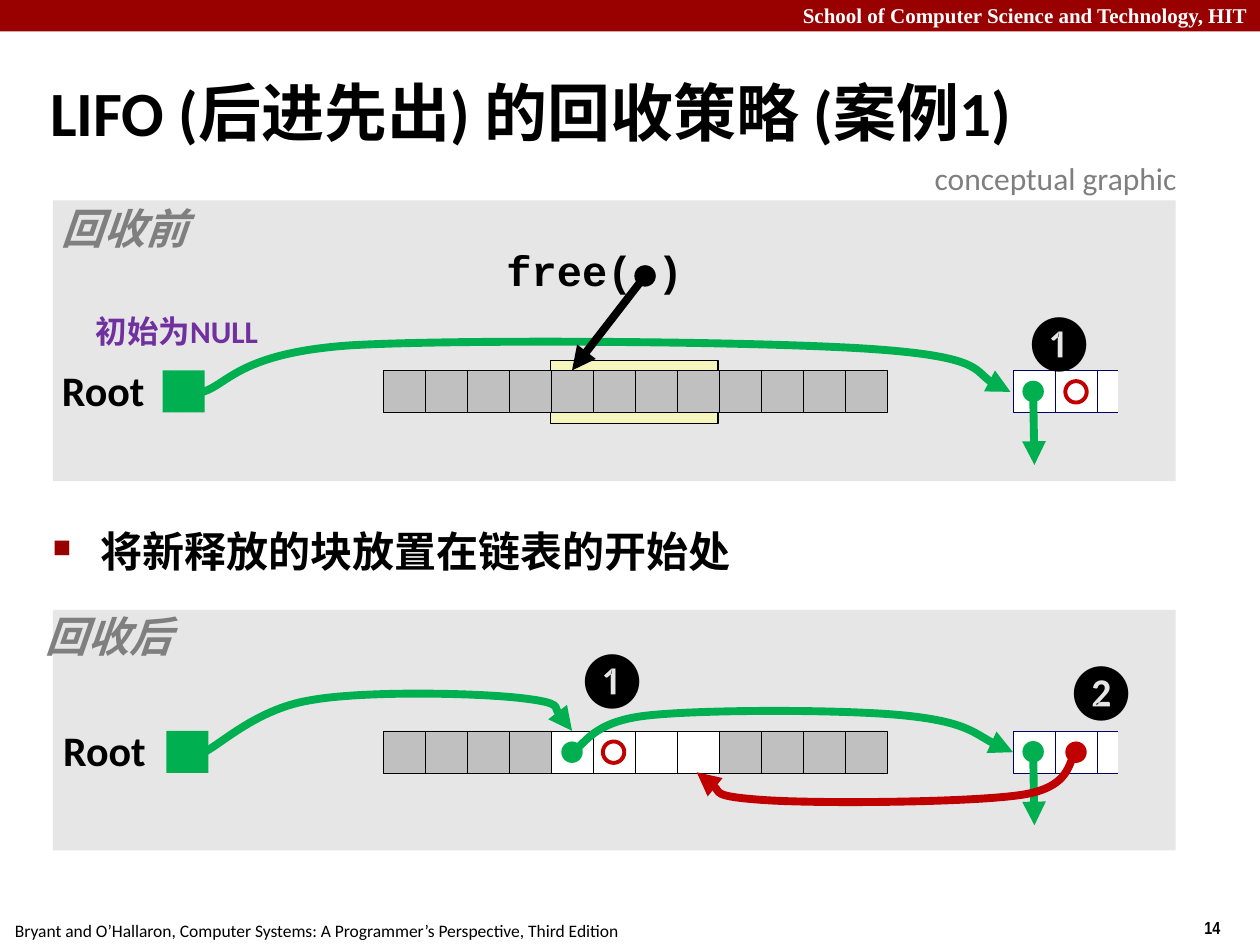
from lxml import etree
from pptx import Presentation
from pptx.dml.color import RGBColor
from pptx.enum.shapes import MSO_CONNECTOR, MSO_SHAPE
from pptx.enum.text import MSO_ANCHOR, MSO_AUTO_SIZE, PP_ALIGN
from pptx.oxml.ns import qn
from pptx.util import Inches, Pt

RECTANGLE, OVAL = MSO_SHAPE.RECTANGLE, MSO_SHAPE.OVAL
STRAIGHT = MSO_CONNECTOR.STRAIGHT
LEFT, CENTER, RIGHT = PP_ALIGN.LEFT, PP_ALIGN.CENTER, PP_ALIGN.RIGHT
MIDDLE, TOP = MSO_ANCHOR.MIDDLE, MSO_ANCHOR.TOP
FIT_SHAPE, FIT_NONE = MSO_AUTO_SIZE.SHAPE_TO_FIT_TEXT, MSO_AUTO_SIZE.NONE

BLACK = RGBColor(0x00, 0x00, 0x00)
WHITE = RGBColor(0xFF, 0xFF, 0xFF)
CRIMSON = RGBColor(0x99, 0x00, 0x00)
RED = RGBColor(0xC0, 0x00, 0x00)
GREEN = RGBColor(0x00, 0xB0, 0x50)
NAVY = RGBColor(0x00, 0x00, 0x66)
PURPLE = RGBColor(0x70, 0x30, 0xA0)
YELLOW = RGBColor(0xF6, 0xF5, 0xBD)
PANEL_GRAY = RGBColor(0xE6, 0xE6, 0xE6)
CELL_GRAY = RGBColor(0xC0, 0xC0, 0xC0)
TEXT_GRAY = RGBColor(0x7F, 0x7F, 0x7F)

CELL = 1 / 3
HEAP_LEFT = 3.04
NEXT_LEFT = 8.04
DOT = 0.17


class SlideBuilder:
    font = "Calibri"
    arrow_width = 4.5

    def __init__(self, slide):
        self.slide = slide

    def shape(self, kind, box, fill=None, line=None, width=0.25, shapes=None):
        target = self.slide.shapes if shapes is None else shapes
        shape = target.add_shape(kind, *map(Inches, box))
        shape.shadow.inherit = False
        if fill is None:
            shape.fill.background()
        else:
            shape.fill.solid()
            shape.fill.fore_color.rgb = fill
        if line is None:
            shape.line.fill.background()
        else:
            shape.line.color.rgb = line
            shape.line.width = Pt(width)
        return shape

    def dot(self, x, y, fill=None, line=None):
        box = (x - DOT / 2, y - DOT / 2, DOT, DOT)
        return self.shape(OVAL, box, fill, line, 2.25)

    def text(self, box, content, size, color=BLACK, bold=False, italic=False,
             font=None, align=LEFT, wrap=False, inset=0.1, spacing=None,
             anchor=TOP, fit=FIT_SHAPE):
        shape = self.slide.shapes.add_textbox(*map(Inches, box))
        frame = shape.text_frame
        frame.word_wrap = wrap
        frame.auto_size = fit
        frame.vertical_anchor = anchor
        frame.margin_left = frame.margin_right = Inches(inset)
        frame.margin_top = frame.margin_bottom = Inches(0.05)
        paragraph = frame.paragraphs[0]
        paragraph.alignment = align
        if spacing:
            paragraph.line_spacing = spacing
        run = paragraph.add_run()
        run.text = content
        run.font.name = font or self.font
        run.font.size = Pt(size)
        run.font.bold = bold
        run.font.italic = italic
        run.font.color.rgb = color
        return paragraph

    def label(self, box, content, **style):
        return self.text(box, content, 24, bold=True, align=CENTER,
                         inset=0.05, spacing=0.9, **style)

    def bullet(self, box, content):
        paragraph = self.text(box, content, 24, bold=True, wrap=True,
                              spacing=0.95, fit=FIT_NONE)
        properties = paragraph._p.get_or_add_pPr()
        properties.set("marL", str(Inches(0.38)))
        properties.set("indent", str(-Inches(0.38)))
        color = etree.SubElement(properties, qn("a:buClr"))
        etree.SubElement(color, qn("a:srgbClr"), val=str(CRIMSON))
        etree.SubElement(properties, qn("a:buSzPct"), val="60000")
        etree.SubElement(properties, qn("a:buChar"), char="■")

    def arrow_line(self, shape, color):
        shape.line.color.rgb = color
        shape.line.width = Pt(self.arrow_width)
        line = shape.line._get_or_add_ln()
        etree.SubElement(line, qn("a:tailEnd"), type="triangle")

    def arrow(self, start, end, color, target=None):
        connector = self.slide.shapes.add_connector(
            STRAIGHT, *map(Inches, start + end))
        if target is not None:
            connector.end_connect(target, 0)
        self.arrow_line(connector, color)
        etree.SubElement(connector._element.spPr, qn("a:effectLst"))

    def curve(self, points, color):
        vertices = [(Inches(x), Inches(y)) for x, y in points]
        builder = self.slide.shapes.build_freeform(*vertices[0], scale=1.0)
        builder.add_line_segments(vertices[1:], close=False)
        shape = builder.convert_to_shape()
        shape.shadow.inherit = False
        shape.fill.background()
        outline = shape._element.spPr.find(".//" + qn("a:path"))
        segments = outline.findall(qn("a:lnTo"))
        for first in range(0, len(segments), 3):
            bezier = etree.SubElement(outline, qn("a:cubicBezTo"))
            for segment in segments[first:first + 3]:
                bezier.append(segment[0])
                outline.remove(segment)
        self.arrow_line(shape, color)

    def heap(self, top, free_cells=()):
        return [self.shape(RECTANGLE, (HEAP_LEFT + i * CELL, top, CELL, CELL),
                           WHITE if i in free_cells else CELL_GRAY, BLACK)
                for i in range(12)]

    def root(self, label_left, square_left, top):
        self.shape(RECTANGLE, (square_left, top, CELL, CELL), GREEN)
        self.label((label_left, top - 0.05, 0.76, 0.46), "Root")

    def next_block(self, top):
        shapes = self.slide.shapes.add_group_shape().shapes
        for i in range(3):
            self.shape(RECTANGLE, (NEXT_LEFT + i * CELL, top, CELL, CELL),
                       WHITE, NAVY, shapes=shapes)
        self.shape(RECTANGLE, (NEXT_LEFT + 2.5 * CELL, top - 0.08, CELL, 0.5),
                   PANEL_GRAY, shapes=shapes)
        middle = top + CELL / 2
        self.dot(8.2, middle, GREEN)
        self.arrow((8.2, middle), (8.21, top + 0.75), GREEN)


def add_frame(builder):
    builder.shape(RECTANGLE, (0, 0, 10, 0.25), CRIMSON)
    builder.text((9.46, 7.23, 0.75, 0.27), "14", 10, bold=True,
                 font="Arial Narrow")
    builder.text((0, -0.03, 10, 0.3),
                 "School of Computer Science and Technology, HIT", 12, WHITE,
                 bold=True, font="Times New Roman", align=RIGHT, wrap=True)
    builder.text((0.02, 7.25, 5.01, 0.27),
                 "Bryant and O’Hallaron, Computer Systems: "
                 "A Programmer’s Perspective, Third Edition", 10)
    builder.text((0.3, 0.5, 9.53, 0.86), "LIFO (后进先出) 的回收策略 (案例1)",
                 36, bold=True, wrap=True, spacing=0.87, anchor=MIDDLE,
                 fit=FIT_NONE)
    builder.text((7.32, 1.21, 2.13, 0.4), "conceptual graphic", 18, TEXT_GRAY)
    builder.bullet((0.32, 4.15, 9.09, 0.61), "将新释放的块放置在链表的开始处")


def add_before(builder):
    builder.shape(RECTANGLE, (0.42, 1.59, 8.91, 2.23), PANEL_GRAY)
    builder.shape(RECTANGLE, (4.37, 2.86, 1.33, 0.5), YELLOW, BLACK, 0.75)
    builder.curve([(1.61, 3.11), (1.81, 3.05), (1.9, 2.8), (2.79, 2.74),
                   (3.67, 2.69), (6.05, 2.71), (6.92, 2.77),
                   (7.79, 2.83), (7.79, 3.04), (8.02, 3.11)], GREEN)
    cells = builder.heap(2.94)
    builder.root(0.44, 1.29, 2.94)
    builder.next_block(2.94)
    builder.dot(8.54, 3.11, line=RED)
    builder.label((3.97, 1.94, 1.5, 0.46), "free( )", font="Courier New")
    builder.dot(5.12, 2.19, BLACK)
    builder.arrow((5.12, 2.19), (4.54, 2.94), BLACK, cells[4])
    builder.label((0.44, 1.6, 1.1, 0.46), "回收前", color=TEXT_GRAY,
                  italic=True)
    builder.text((8.02, 2.38, 0.65, 0.64), "❶", 32, wrap=True)
    builder.text((0.66, 2.43, 1.55, 0.4), "初始为NULL", 18, PURPLE, bold=True,
                 wrap=True)


def add_after(builder):
    builder.shape(RECTANGLE, (0.42, 4.84, 8.91, 1.91), PANEL_GRAY)
    builder.heap(5.8, range(4, 8))
    builder.root(0.45, 1.32, 5.8)
    builder.next_block(5.8)
    builder.dot(4.54, 5.97, GREEN)
    builder.dot(4.87, 5.97, line=RED)
    builder.dot(8.54, 5.97, RED)
    builder.curve([(4.54, 5.97), (4.64, 5.92), (4.69, 5.73), (5.13, 5.68),
                   (5.57, 5.63), (6.71, 5.63), (7.19, 5.68),
                   (7.67, 5.73), (7.86, 5.91), (8.04, 5.97)], GREEN)
    builder.curve([(8.54, 5.98), (8.47, 6.03), (8.52, 6.25), (8.1, 6.31),
                   (7.69, 6.37), (6.49, 6.38), (6.06, 6.35),
                   (5.63, 6.32), (5.64, 6.18), (5.53, 6.13)], RED)
    builder.curve([(1.62, 5.97), (1.76, 5.9), (2.04, 5.63), (2.45, 5.56),
                   (2.87, 5.48), (3.78, 5.5), (4.13, 5.54),
                   (4.48, 5.58), (4.46, 5.74), (4.54, 5.8)], GREEN)
    builder.label((0.31, 4.84, 1.1, 0.46), "回收后", color=TEXT_GRAY,
                  italic=True)
    builder.text((4.47, 5.06, 0.65, 0.64), "❶", 32, wrap=True)
    builder.text((8.35, 5.15, 0.65, 0.64), "❷", 32, wrap=True)


def main():
    presentation = Presentation()
    presentation.slide_width = Inches(10)
    presentation.slide_height = Inches(7.5)
    slide = presentation.slides.add_slide(presentation.slide_layouts[6])
    builder = SlideBuilder(slide)
    add_frame(builder)
    add_before(builder)
    add_after(builder)
    presentation.save("out.pptx")


if __name__ == "__main__":
    main()
